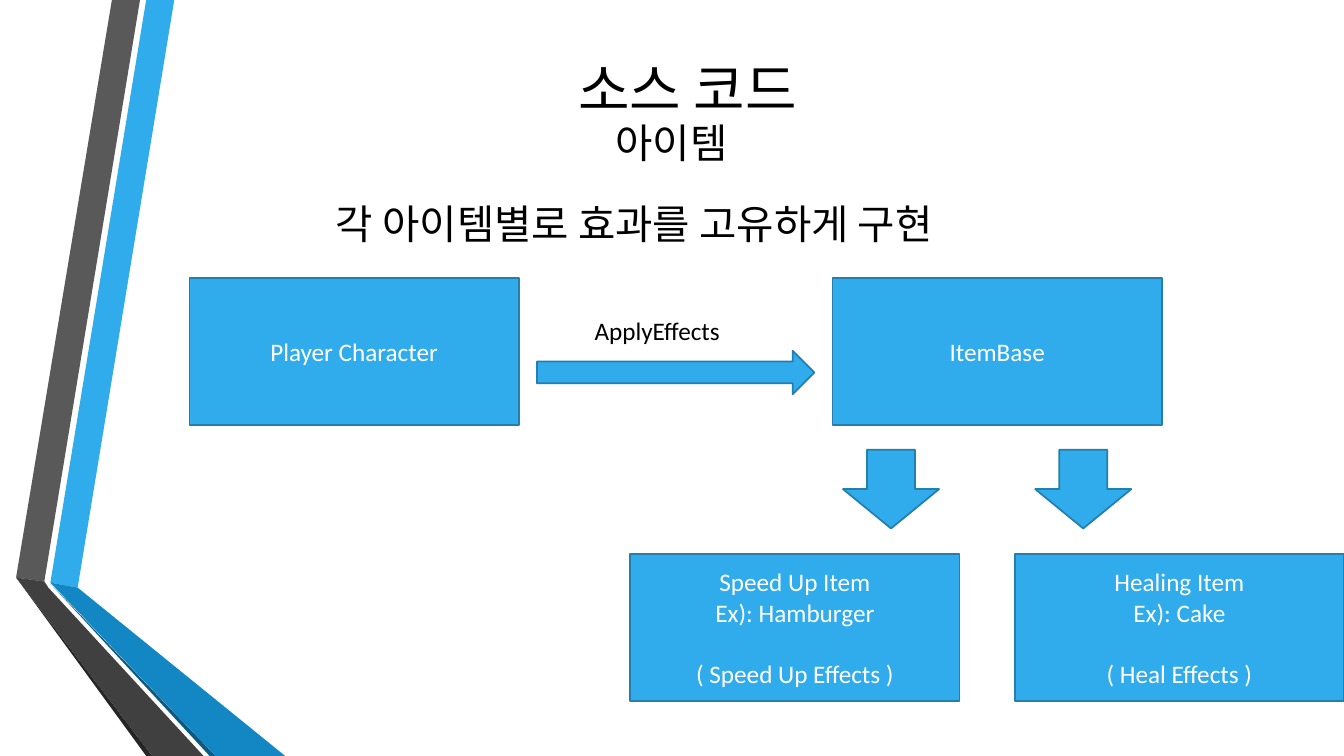
from dataclasses import dataclass
from pptx import Presentation
from pptx.dml.color import RGBColor
from pptx.enum.shapes import MSO_SHAPE
from pptx.enum.text import MSO_ANCHOR, PP_ALIGN
from pptx.util import Inches, Pt


@dataclass(frozen=True)
class Theme:
    font: str = "Calibri"
    title: float = 40
    lead: float = 29
    body: float = 18
    rule: float = 1.25
    ink: str = "000000"
    paper: str = "FFFFFF"
    blue: str = "30ACEC"
    edge: str = "247FAF"
    sea: str = "1287C3"
    navy: str = "0C5A82"
    grey: str = "595959"
    dark: str = "404040"
    coal: str = "262626"


THEME = Theme()
WIDE, HIGH = Inches(13.333), Inches(7.5)
FULL = (0, 0, 100, 100)


def place(box):
    """Turn a box in percent of the slide into lengths."""
    x, y, w, h = box
    return [round(part * size / 100)
            for part, size in ((x, WIDE), (y, HIGH), (w, WIDE), (h, HIGH))]


def paint(shape, fill, line=None):
    shape.shadow.inherit = False
    shape.fill.solid()
    shape.fill.fore_color.rgb = RGBColor.from_string(fill)
    if line:
        shape.line.color.rgb = RGBColor.from_string(line)
        shape.line.width = Pt(THEME.rule)
    else:
        shape.line.fill.background()


def write(frame, lines, size, color, align=PP_ALIGN.CENTER,
          anchor=MSO_ANCHOR.MIDDLE):
    frame.word_wrap = True
    frame.vertical_anchor = anchor
    for i, line in enumerate(lines):
        para = frame.paragraphs[0] if i == 0 else frame.add_paragraph()
        para.alignment = align
        run = para.add_run()
        run.text = line
        run.font.size = Pt(size)
        run.font.name = THEME.font
        run.font.color.rgb = RGBColor.from_string(color)


def label(slide, box, text, size, **style):
    frame = slide.shapes.add_textbox(*place(box)).text_frame
    write(frame, [text], size, THEME.ink, **style)


def card(slide, box, lines):
    shape = slide.shapes.add_shape(MSO_SHAPE.RECTANGLE, *place(box))
    paint(shape, THEME.blue, THEME.edge)
    write(shape.text_frame, lines, THEME.body, THEME.paper)
    return shape


def arrow(slide, box, kind):
    paint(slide.shapes.add_shape(kind, *place(box)), THEME.blue, THEME.edge)


def ribbons(slide, box):
    """Draw the two folded bands at the left edge."""
    left, top, wide, high = place(box)
    bands = (
        (THEME.blue, [(3.75, 77.07), (5.78, 77.73), (12.97, 0), (10.88, 0)]),
        (THEME.grey, [(10.42, 0), (8.33, 0), (1.2, 76.4), (3.3, 76.93)]),
        (THEME.coal, [(1.2, 76.4), (10.88, 100), (11.33, 100)]),
        (THEME.navy, [(3.75, 77.2), (15.6, 100), (16.05, 100)]),
        (THEME.sea, [(3.75, 77.07), (16.05, 100), (21.22, 100),
                     (5.78, 77.73)]),
        (THEME.dark, [(15.15, 100), (3.6, 77.73), (3.3, 76.93), (1.2, 76.4),
                      (11.33, 100)]),
    )
    for fill, points in bands:
        first, *rest = [(round(left + x * wide / 100),
                         round(top + y * high / 100)) for x, y in points]
        build = slide.shapes.build_freeform(*first)
        build.add_line_segments(rest)
        paint(build.convert_to_shape(), fill)


def heading(slide, box):
    x, y, w, h = box
    plain = dict(align=PP_ALIGN.LEFT, anchor=MSO_ANCHOR.TOP)
    label(slide, (x, y, w, h), "소스 코드", THEME.title)
    label(slide, (x + 35, y + 16, 17.8, 7.8), "아이템", THEME.lead, **plain)
    label(slide, (x + 14.2, y + 26.7, 51.4, 7.8),
          "각 아이템별로 효과를 고유하게 구현", THEME.lead, **plain)


def diagram(slide, box):
    """Place the player and item base above the two items."""
    x, y, w, h = box
    wide, high, gap = 24.5, 19.4, 1.35
    base = x + 47.85
    card(slide, (x, y, wide, high), ["Player Character"])
    card(slide, (base, y, wide, high), ["ItemBase"])
    start = x + wide + gap
    arrow(slide, (start, y + 9.6, base - gap - start, 5.75),
          MSO_SHAPE.RIGHT_ARROW)
    label(slide, (x + 29.4, y + 4.25, 11.9, 5.4), "ApplyEffects", THEME.body,
          align=PP_ALIGN.LEFT, anchor=MSO_ANCHOR.TOP)

    step = 7.15
    mid = x + w - wide / 2 - 2 * step
    items = ((-1, ["Speed Up Item", "Ex): Hamburger", "( Speed Up Effects )"]),
             (1, ["Healing Item", "Ex): Cake", "( Heal Effects )"]))
    for side, lines in items:
        arrow(slide, (mid + side * step - step / 2, y + 22.7, step, 10.4),
              MSO_SHAPE.DOWN_ARROW)
        item = card(slide, (mid + side * 2 * step - wide / 2, y + h - high,
                            wide, high), lines)
        item.text_frame.paragraphs[-1].space_before = Pt(22)


def main():
    deck = Presentation()
    deck.slide_width, deck.slide_height = WIDE, HIGH
    slide = deck.slides.add_slide(deck.slide_layouts[6])
    ribbons(slide, FULL)
    heading(slide, (10.05, -1.1, 82.2, 25.6))
    diagram(slide, (14.1, 36.8, 85.9, 55.9))
    deck.save("out.pptx")


if __name__ == "__main__":
    main()
